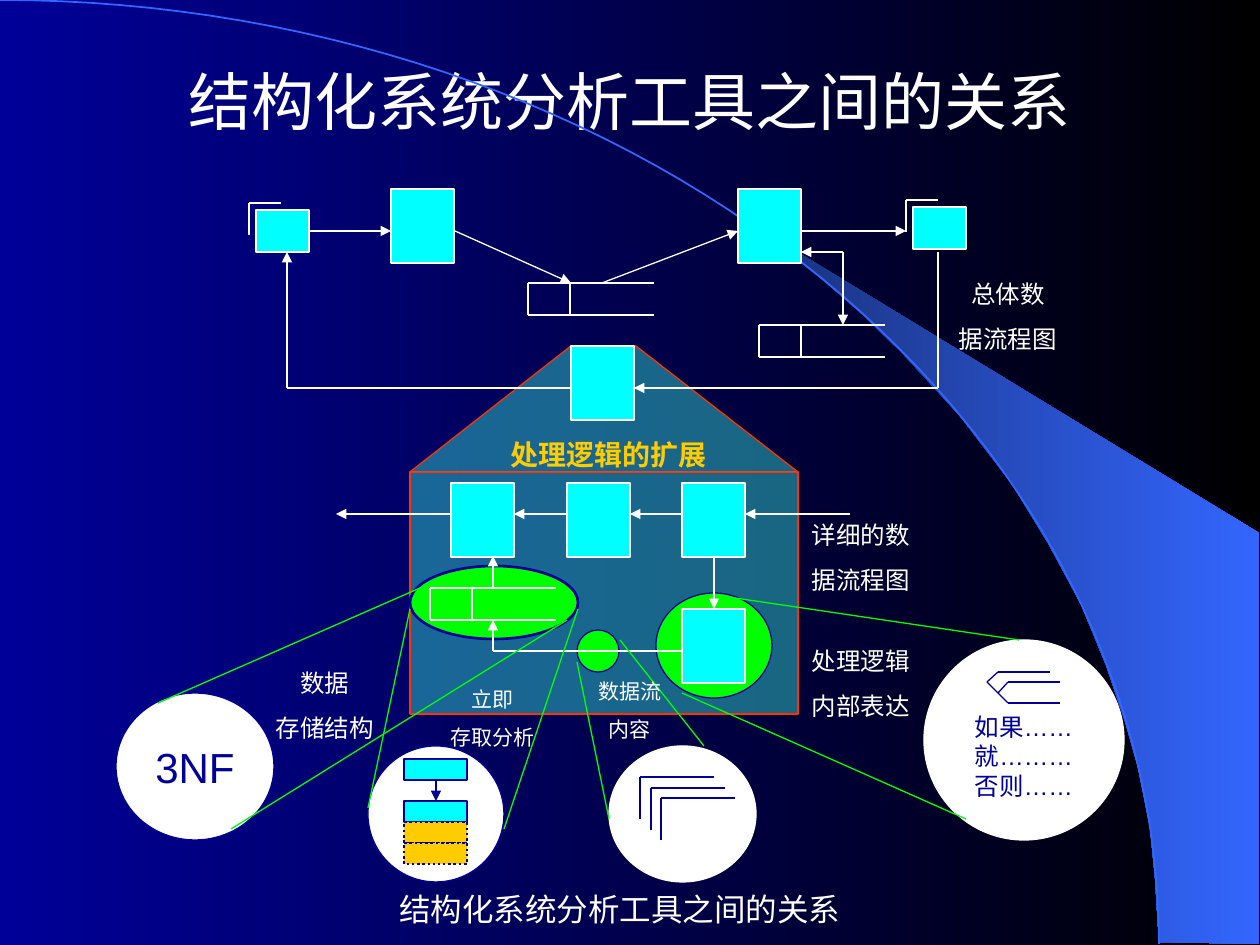
from math import cos, pi, sin

from lxml.etree import SubElement
from pptx import Presentation
from pptx.dml.color import RGBColor
from pptx.enum.dml import MSO_LINE
from pptx.enum.shapes import MSO_CONNECTOR, MSO_SHAPE
from pptx.enum.text import MSO_ANCHOR, MSO_AUTO_SIZE, PP_ALIGN
from pptx.oxml.ns import qn
from pptx.util import Pt

SCALE = 914400 / 126
COLORS = {
    "white": "FFFFFF", "black": "000000", "navy": "000099", "blue": "3366FF",
    "dark_blue": "182F76", "cyan": "00FFFF", "teal": "33CCCC",
    "green": "00FF00", "red": "FF3300", "gold": "FFCC00",
}


def px(length):
    return round(length * SCALE)


def color(name):
    return RGBColor.from_string(COLORS[name])


def write(frame, text, size=14, ink="white", font="Arial", bold=False,
          gap=0.625, wrap=True, anchor=MSO_ANCHOR.TOP):
    """Fill a text frame with centred lines; gap is a share of the size."""
    frame.word_wrap = wrap
    frame.vertical_anchor = anchor
    for number, line in enumerate(text.split("\n")):
        paragraph = frame.add_paragraph() if number else frame.paragraphs[0]
        paragraph.alignment = PP_ALIGN.CENTER
        paragraph.space_before = Pt(size * gap if number else 0)
        run = paragraph.add_run()
        run.text = line
        run.font.size = Pt(size)
        run.font.bold = bold
        run.font.name = font
        run.font.color.rgb = color(ink)
        east_asian = SubElement(run.font._element, qn("a:ea"))
        east_asian.set("typeface", font)


class Diagram:
    process_size = (63, 74)
    entity_size = (53, 42)
    line_width = 0.75

    def __init__(self, slide):
        self.slide = slide
        self.shapes = slide.shapes

    def gradient(self, fill, start, end):
        fill.gradient()
        fill.gradient_angle = 0
        for stop, name in zip(fill.gradient_stops, (start, end)):
            stop.color.rgb = color(name)

    def style(self, shape, fill=None, line=None, width=line_width,
              dash=None, alpha=None):
        shape.shadow.inherit = False
        if fill:
            shape.fill.solid()
            shape.fill.fore_color.rgb = color(fill)
        else:
            shape.fill.background()
        if alpha:
            fill_color = next(shape._element.iter(qn("a:srgbClr")))
            SubElement(fill_color, qn("a:alpha")).set("val", str(alpha * 1000))
        if line:
            shape.line.color.rgb = color(line)
            shape.line.width = Pt(width)
            if dash:
                shape.line.dash_style = dash
        else:
            shape.line.fill.background()
        return shape

    def shape(self, kind, box, fill, line, **look):
        shape = self.shapes.add_shape(kind, *map(px, box))
        return self.style(shape, fill, line, **look)

    def rectangle(self, box, fill="cyan", line="white", **look):
        return self.shape(MSO_SHAPE.RECTANGLE, box, fill, line, **look)

    def ellipse(self, box, fill="white", line="white", **look):
        return self.shape(MSO_SHAPE.OVAL, box, fill, line, **look)

    def outline(self, points, close=True, **look):
        points = [(px(x), px(y)) for x, y in points]
        builder = self.shapes.build_freeform(*points[0])
        builder.add_line_segments(points[1:], close=close)
        return self.style(builder.convert_to_shape(), **look)

    def lines(self, *points, ink="white", arrow=False):
        """Join points with straight lines; an arrow ends the last one."""
        for start, end in zip(points, points[1:]):
            connector = self.shapes.add_connector(
                MSO_CONNECTOR.STRAIGHT, *map(px, start + end))
            connector.line.color.rgb = color(ink)
            connector.line.width = Pt(self.line_width)
            SubElement(connector._element.spPr, qn("a:effectLst"))
        if arrow:
            tail = SubElement(connector.line._get_or_add_ln(), qn("a:tailEnd"))
            tail.set("type", "triangle")

    def process(self, x, y):
        self.rectangle((x, y, *self.process_size))

    def corner(self, x, y, width=32, height=32, ink="white"):
        self.lines((x, y + height), (x, y), (x + width, y), ink=ink)

    def entity(self, x, y):
        self.rectangle((x, y, *self.entity_size))
        self.corner(x - 7, y - 7)

    def data_store(self, x, y):
        self.lines((x + 126, y), (x, y), (x, y + 32), (x + 126, y + 32))
        self.lines((x + 42, y), (x + 42, y + 32))

    def text(self, box, text, grow=True, **format):
        frame = self.shapes.add_textbox(*map(px, box)).text_frame
        write(frame, text, **format)
        frame.auto_size = (MSO_AUTO_SIZE.SHAPE_TO_FIT_TEXT if grow
                           else MSO_AUTO_SIZE.NONE)

    def title(self, box, text, **format):
        title = self.shapes.title
        title.left, title.top, title.width, title.height = map(px, box)
        write(title.text_frame, text, anchor=MSO_ANCHOR.MIDDLE, **format)


def main():
    presentation = Presentation()
    presentation.slide_width, presentation.slide_height = px(1260), px(945)
    slide = presentation.slides.add_slide(presentation.slide_layouts[5])
    diagram = Diagram(slide)

    # Background with wedge and arc
    diagram.gradient(slide.background.fill, "navy", "black")
    wedge = diagram.outline([
        (1159, 942), (1259, 944), (1259, 533), (742, 218), (786, 251),
        (823, 280), (863, 315), (902, 353), (960, 416), (1012, 484),
        (1048, 543), (1081, 604), (1106, 665), (1125, 721), (1138, 767),
        (1150, 827), (1155, 877)])
    diagram.gradient(wedge.fill, "dark_blue", "blue")
    angles = [step * pi / 120 for step in range(61)]
    diagram.outline([(1159 * sin(a), 944 - 944 * cos(a)) for a in angles],
                    close=False, line="blue", width=1)

    heading = "结构化系统分析工具之间的关系"
    diagram.title((94, 21, 1071, 158), heading, size=36,
                  font="Noto Sans CJK JP")

    # Detailed data flow
    diagram.rectangle((410, 472, 388, 242), "teal", "red", alpha=50)
    diagram.ellipse((656, 593, 116, 105), "green", "navy")
    diagram.ellipse((577, 630, 42, 42), "green", "navy")
    diagram.ellipse((410, 566, 168, 73), "green", "navy", width=1.5)
    diagram.text((798, 514, 126, 87), "详细的数\n据流程图")
    for x, y in ((451, 483), (567, 483), (682, 483), (682, 609)):
        diagram.process(x, y)
    diagram.data_store(430, 588)
    for start, end in ((451, 336), (567, 514), (682, 630), (850, 745)):
        diagram.lines((start, 514), (end, 514), arrow=True)
    diagram.lines((714, 556), (714, 609), arrow=True)
    diagram.lines((682, 651), (493, 651), (493, 620), arrow=True)
    diagram.lines((493, 588), (493, 556), arrow=True)

    # Roof that expands one process
    diagram.outline([(410, 472), (571, 346), (636, 346), (798, 472)],
                    fill="teal", line="red", alpha=50)
    diagram.text((493, 431, 231, 47), "处理逻辑的扩展", size=16,
                 ink="gold", bold=True)

    # Data store structure
    normal_form = diagram.ellipse((116, 693, 158, 147), line="navy")
    write(normal_form.text_frame, "3NF", size=24, ink="navy", wrap=False,
          anchor=MSO_ANCHOR.MIDDLE)
    diagram.lines((158, 703), (420, 588), ink="green")
    diagram.lines((231, 829), (567, 620), ink="green")
    diagram.text((262, 662, 126, 87), "数据\n存储结构")

    # Immediate access analysis
    diagram.ellipse((368, 746, 136, 136), line="navy")
    diagram.lines((410, 609), (368, 808), ink="green")
    diagram.lines((578, 609), (504, 829), ink="green")
    for y in (759, 801):
        diagram.rectangle((404, y, 63, 21), line="navy")
    for y in (822, 843):
        diagram.rectangle((404, y, 63, 21), "gold", "navy", width=1.5,
                          dash=MSO_LINE.ROUND_DOT)
    diagram.lines((436, 780), (436, 801), ink="navy", arrow=True)
    diagram.text((430, 680, 126, 77), "立即\n存取分析", size=12)

    # Data flow content
    diagram.ellipse((609, 746, 147, 136))
    for x, y in ((640, 777), (651, 788), (661, 798)):
        diagram.corner(x, y, 74, 42, ink="navy")
    diagram.lines((577, 662), (609, 819), ink="green")
    diagram.lines((620, 640), (704, 746), ink="green")
    diagram.text((567, 672, 126, 77), "数据流\n内容", size=12)

    # Inner expression of the processing logic
    diagram.ellipse((924, 640, 200, 200))
    diagram.lines((735, 598), (1019, 640), ink="green")
    diagram.lines((682, 693), (966, 819), ink="green")
    diagram.lines((1050, 672), (998, 672), (987, 682), (1008, 703),
                  (1060, 703), ink="navy")
    diagram.lines((998, 693), (1008, 682), (1060, 682), ink="navy")
    diagram.text((966, 714, 116, 84), "如果……\n就………\n否则……", grow=False,
                 ink="navy", gap=0, wrap=False, anchor=MSO_ANCHOR.MIDDLE)
    diagram.text((798, 640, 126, 87), "处理逻辑\n内部表达")

    # Overall data flow
    diagram.entity(256, 210)
    diagram.entity(913, 207)
    for x, y in ((391, 189), (738, 189), (571, 346)):
        diagram.process(x, y)
    diagram.data_store(528, 283)
    diagram.data_store(759, 325)
    for start, end in (((308, 231), (391, 231)), ((801, 231), (906, 231)),
                       ((455, 231), (571, 283)), ((602, 283), (738, 231)),
                       ((843, 252), (843, 325)), ((843, 252), (801, 252))):
        diagram.lines(start, end, arrow=True)
    diagram.lines((938, 252), (938, 388), (634, 388), arrow=True)
    diagram.lines((571, 388), (287, 388), (287, 252), arrow=True)
    diagram.text((945, 273, 126, 87), "总体数\n据流程图")

    # Caption
    diagram.text((357, 884, 525, 50), heading, size=18)

    presentation.save("out.pptx")


if __name__ == "__main__":
    main()
